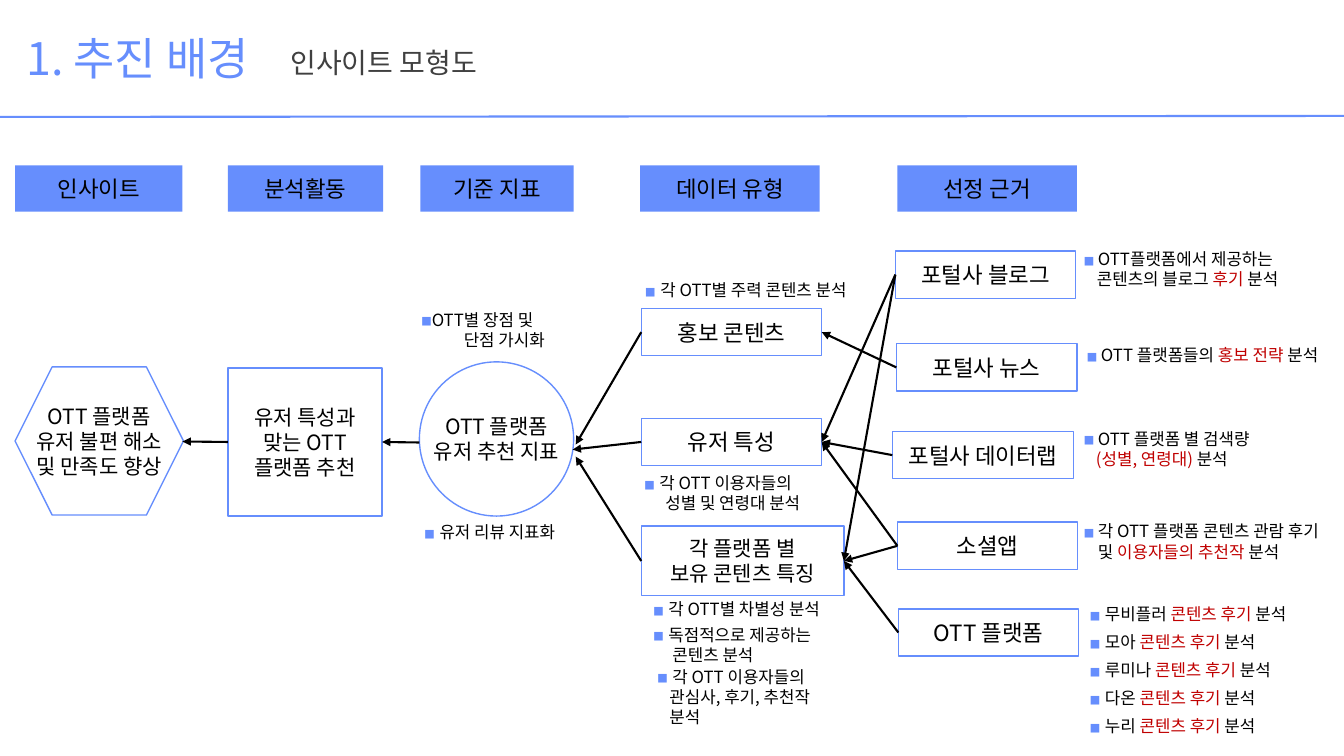
from pptx import Presentation
from pptx.dml.color import RGBColor
from pptx.enum.shapes import MSO_CONNECTOR, MSO_SHAPE
from pptx.enum.text import MSO_ANCHOR, PP_ALIGN
from pptx.oxml.ns import qn
from pptx.util import Inches, Pt
from lxml import etree

BLUE = RGBColor(0x66, 0x8E, 0xFD)
BLACK = RGBColor(0, 0, 0)
WHITE = RGBColor(0xFF, 0xFF, 0xFF)
RED = RGBColor(0xC0, 0, 0)
GRAY = RGBColor(0x40, 0x40, 0x40)
FONT = "Noto Sans CJK KR"
TOP, LEFT, BOTTOM, RIGHT = range(4)

presentation = Presentation()
presentation.slide_width = Inches(13.33)
presentation.slide_height = Inches(7.5)
slide = presentation.slides.add_slide(presentation.slide_layouts[6])


def write(paragraph, text, size, color=BLACK):
    """Add text to a paragraph; parts between asterisks become red."""
    for index, part in enumerate(text.split("*")):
        if part:
            run = paragraph.add_run()
            run.text = part
            run.font.color.rgb = RED if index % 2 else color
            run.font.size = Pt(size)
            run.font.name = FONT
            etree.SubElement(run.font._element, qn("a:ea"), typeface=FONT)


def set_frame(frame, anchor, wrap):
    """Remove the insets and set anchor and wrapping."""
    values = {"margin_left": 0, "margin_right": 0, "margin_top": 0, "margin_bottom": 0,
              "vertical_anchor": anchor, "word_wrap": wrap}
    for name, value in values.items():
        setattr(frame, name, value)


# Title and rule
titles = [
    (0.26, 0.31, 2.4, 0.54, "1. 추진 배경", 32, BLUE),
    (2.88, 0.45, 3.18, 0.34, "인사이트 모형도", 20, GRAY),
]
for left, top, width, height, text, size, color in titles:
    title = slide.shapes.add_textbox(Inches(left), Inches(top), Inches(width), Inches(height))
    set_frame(title.text_frame, MSO_ANCHOR.TOP, False)
    write(title.text_frame.paragraphs[0], text, size, color)

# Column headers and model boxes: name, preset, left, top, width, height, size, lines
headers = [
    ("인사이트", 0.15, 1.66), ("분석활동", 2.26, 1.54), ("기준 지표", 4.17, 1.52),
    ("데이터 유형", 6.35, 1.78), ("선정 근거", 8.9, 1.78),
]
RECTANGLE = MSO_SHAPE.RECTANGLE
boxes = [(text, RECTANGLE, left, 1.64, width, 0.46, 16, [text]) for text, left, width in headers]
boxes += [
    ("insight", MSO_SHAPE.HEXAGON, 0.15, 3.64, 1.67, 1.47, 15,
     ["OTT 플랫폼", "유저 불편 해소", "및 만족도 향상"]),
    ("analysis", RECTANGLE, 2.26, 3.65, 1.53, 1.47, 15, ["유저 특성과", "맞는 OTT", "플랫폼 추천"]),
    ("indicator", MSO_SHAPE.OVAL, 4.16, 3.59, 1.53, 1.53, 15, ["OTT 플랫폼", "유저 추천 지표"]),
    ("promotion", RECTANGLE, 6.36, 3.06, 1.79, 0.47, 16, ["홍보 콘텐츠"]),
    ("users", RECTANGLE, 6.36, 4.15, 1.79, 0.47, 16, ["유저 특성"]),
    ("contents", RECTANGLE, 6.36, 5.22, 2.01, 0.69, 15, ["각 플랫폼 별", "보유 콘텐츠 특징"]),
    ("blog", RECTANGLE, 8.88, 2.49, 1.79, 0.47, 16, ["포털사 블로그"]),
    ("news", RECTANGLE, 8.89, 3.41, 1.79, 0.47, 16, ["포털사 뉴스"]),
    ("datalab", RECTANGLE, 8.85, 4.28, 1.8, 0.47, 16, ["포털사 데이터랩"]),
    ("social", RECTANGLE, 8.9, 5.18, 1.79, 0.47, 16, ["소셜앱"]),
    ("platforms", RECTANGLE, 8.91, 6.04, 1.79, 0.47, 16, ["OTT 플랫폼"]),
]
shapes = {}
for name, preset, left, top, width, height, size, lines in boxes:
    shape = slide.shapes.add_shape(preset, Inches(left), Inches(top), Inches(width), Inches(height))
    shapes[name] = shape
    shape.shadow.inherit = False
    shape.fill.solid()
    if top == 1.64:
        shape.fill.fore_color.rgb = BLUE
        shape.line.fill.background()
    else:
        shape.fill.fore_color.rgb = WHITE
        shape.line.color.rgb = BLUE
        shape.line.width = Pt(1)
    frame = shape.text_frame
    set_frame(frame, MSO_ANCHOR.MIDDLE, False)
    for index, line in enumerate(lines):
        paragraph = frame.add_paragraph() if index else frame.paragraphs[0]
        paragraph.alignment = PP_ALIGN.CENTER
        write(paragraph, line, size)

# Notes: left, top, width, first-line hang, continuation indent, gap in points, lines
services = ["무비플러", "모아", "루미나", "다온", "누리"]
notes = [
    (4.18, 3.07, 1.5, 0.1, 0.42, 0, ["◼OTT별 장점 및", "단점 가시화"]),
    (4.21, 5.18, 1.6, 0.15, 0.15, 0, ["◼유저 리뷰 지표화"]),
    (6.4, 2.78, 2.4, 0.15, 0.15, 0, ["◼각 OTT별 주력 콘텐츠 분석"]),
    (6.39, 4.69, 2, 0.15, 0.21, 0, ["◼각 OTT 이용자들의", "성별 및 연령대 분석"]),
    (6.48, 5.94, 2.1, 0.15, 0.19, 4, ["◼각 OTT별 차별성 분석", "◼독점적으로 제공하는", "콘텐츠 분석"]),
    (6.52, 6.61, 2, 0.15, 0.12, 0, ["◼각 OTT 이용자들의", "관심사, 후기, 추천작", "분석"]),
    (10.75, 2.47, 2.5, 0.14, 0.13, 0, ["◼OTT플랫폼에서 제공하는", "콘텐츠의 블로그 *후기* 분석"]),
    (10.78, 3.42, 2.54, 0.14, 0.14, 0, ["◼OTT 플랫폼들의 *홍보 전략* 분석"]),
    (10.75, 4.25, 2.5, 0.14, 0.12, 0, ["◼OTT 플랫폼 별 검색량", "*(성별, 연령대)* 분석"]),
    (10.75, 5.17, 2.57, 0.14, 0.14, 0,
     ["◼각 OTT 플랫폼 콘텐츠 관람 후기", "및 *이용자들의 추천작* 분석"]),
    (10.81, 5.99, 2.4, 0.15, 0.15, 5.6, [f"◼{service} *콘텐츠 후기* 분석" for service in services]),
]
for left, top, width, hang, continuation, gap, lines in notes:
    note = slide.shapes.add_textbox(Inches(left), Inches(top), Inches(width), Inches(0.2 * len(lines)))
    frame = note.text_frame
    set_frame(frame, MSO_ANCHOR.TOP, True)
    for index, line in enumerate(lines):
        paragraph = frame.add_paragraph() if index else frame.paragraphs[0]
        properties = paragraph._p.get_or_add_pPr()
        if line.startswith("◼"):
            properties.set("marL", str(Inches(hang)))
            properties.set("indent", str(-Inches(hang)))
            bullet_color = etree.SubElement(properties, qn("a:buClr"))
            etree.SubElement(bullet_color, qn("a:srgbClr"), val=str(BLUE))
            etree.SubElement(properties, qn("a:buFont"), typeface=FONT)
            etree.SubElement(properties, qn("a:buChar"), char="◼")
            if index and gap:
                paragraph.space_before = Pt(gap)
        else:
            properties.set("marL", str(Inches(continuation)))
        write(paragraph, line.lstrip("◼"), 12)

# Lines: start box or point, end box or point; boxes join left side to right side
arrows = [
    ("analysis", (1.81, 4.38)),
    ((4.16, 4.39), "analysis"),
    ("promotion", (5.71, 4.41)),
    ("users", (5.68, 4.46)),
    ("contents", (5.71, 4.53)),
    ("blog", "users"),
    ("blog", "contents"),
    ("news", "promotion"),
    ("datalab", "users"),
    ("social", "users"),
    ("platforms", "contents"),
    ("social", "contents"),
]
title_rule = ((0, 1.16), (13.33, 1.15))
for start, end in arrows + [title_rule]:
    start_point = (0, 0) if start in shapes else start
    end_point = (0, 0) if end in shapes else end
    connector = slide.shapes.add_connector(
        MSO_CONNECTOR.STRAIGHT, *(Inches(value) for value in start_point + end_point))
    if start in shapes:
        connector.begin_connect(shapes[start], LEFT)
    if end in shapes:
        connector.end_connect(shapes[end], RIGHT)
    is_rule = (start, end) == title_rule
    connector.line.color.rgb = BLUE if is_rule else BLACK
    connector.line.width = Pt(1.5)
    if not is_rule:
        etree.SubElement(connector.line._get_or_add_ln(), qn("a:tailEnd"), type="triangle")
    etree.SubElement(connector._element.spPr, qn("a:effectLst"))

presentation.save("out.pptx")
